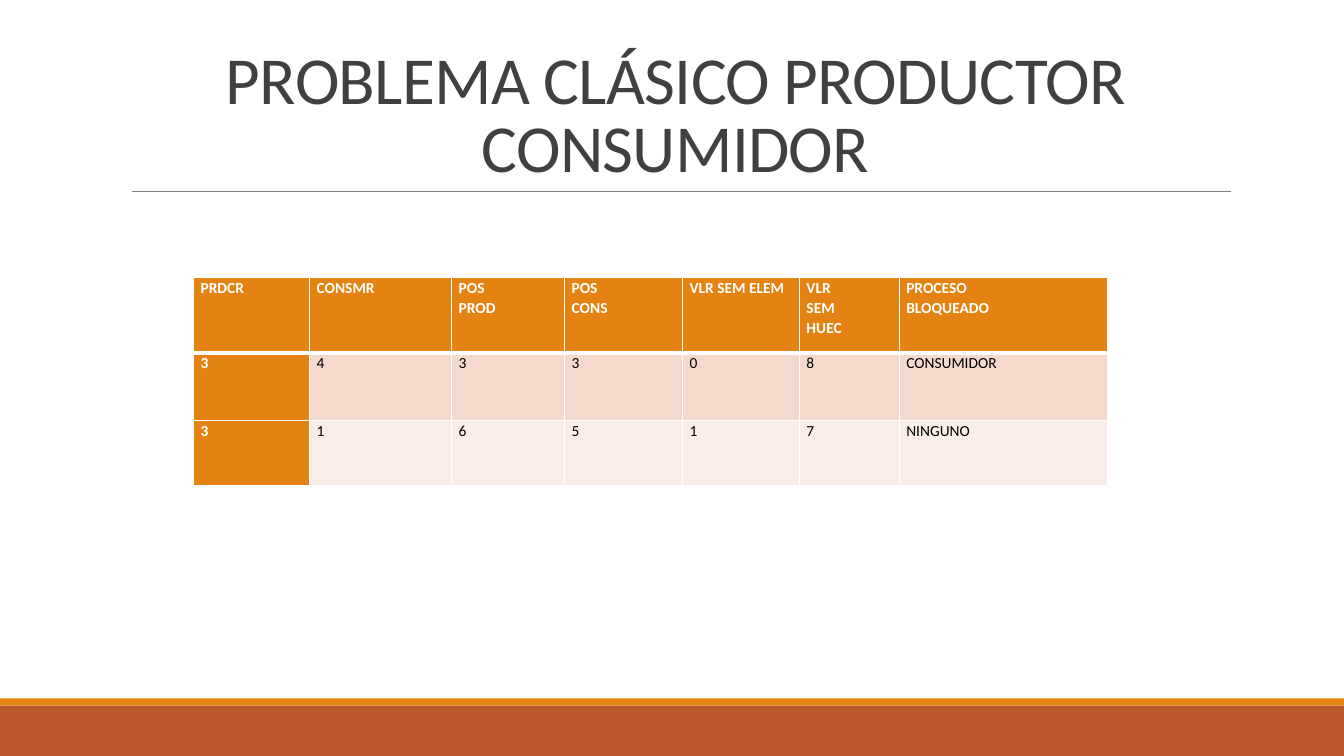
from lxml.etree import SubElement
from pptx import Presentation
from pptx.dml.color import RGBColor
from pptx.enum.shapes import MSO_CONNECTOR, MSO_SHAPE
from pptx.enum.text import MSO_ANCHOR, PP_ALIGN
from pptx.oxml.ns import qn
from pptx.util import Inches, Pt

ORANGE, WHITE = "E48312", "FFFFFF"


def paint(color, value):
    color.rgb = RGBColor.from_string(value)


def edge(cell, side, width):
    """Add a white border to one side (L, R, T or B) of a cell."""
    props = cell._tc.get_or_add_tcPr()
    line = SubElement(props, qn("a:ln" + side), w=str(Pt(width)))
    fill = SubElement(line, qn("a:solidFill"))
    SubElement(fill, qn("a:srgbClr"), val=WHITE)


prs = Presentation()
prs.slide_width, prs.slide_height = Inches(13.33), Inches(7.5)
slide = prs.slides.add_slide(prs.slide_layouts[6])
shapes = slide.shapes

# Footer bands
for top, height, color in [(7, 0.5, "BD582C"), (6.93, 0.07, ORANGE)]:
    band = shapes.add_shape(MSO_SHAPE.RECTANGLE, 0, Inches(top),
                            prs.slide_width, Inches(height))
    band.shadow.inherit = False
    band.fill.solid()
    paint(band.fill.fore_color, color)
    band.line.fill.background()

# Title and the rule under it
rule = shapes.add_connector(MSO_CONNECTOR.STRAIGHT, Inches(1.31), Inches(1.9),
                            Inches(12.21), Inches(1.9))
paint(rule.line.color, "808080")
rule.line.width = Pt(0.5)
SubElement(rule._element.spPr, qn("a:effectLst"))

title = shapes.add_textbox(Inches(1.2), Inches(0.31), Inches(11), Inches(1.59))
frame = title.text_frame
frame.word_wrap = True
frame.vertical_anchor = MSO_ANCHOR.BOTTOM
frame.text = "PROBLEMA CLÁSICO PRODUCTOR CONSUMIDOR"
para = frame.paragraphs[0]
para.alignment = PP_ALIGN.CENTER
para.line_spacing = 0.85
run = para.runs[0]
run.font.name, run.font.size = "Calibri", Pt(48)
paint(run.font.color, "404040")
run.font._element.set("spc", "-50")

# Table of semaphore values
rows = [
    ["PRDCR", "CONSMR", "POS\nPROD", "POS\nCONS", "VLR SEM ELEM",
     "VLR\nSEM\nHUEC", "PROCESO\nBLOQUEADO"],
    ["3", "4", "3", "3", "0", "8", "CONSUMIDOR"],
    ["3", "1", "6", "5", "1", "7", "NINGUNO"],
]
widths = [1.15, 1.41, 1.12, 1.17, 1.16, 0.99, 2.07]
heights = [0.75, 0.67, 0.65]
tints = [ORANGE, "F5D9CC", "FAEDE7"]

table = shapes.add_table(len(rows), len(widths), Inches(1.92), Inches(2.75),
                         Inches(sum(widths)), Inches(sum(heights))).table
for col, width in zip(table.columns, widths):
    col.width = Inches(width)
for row, height in zip(table.rows, heights):
    row.height = Inches(height)

for r, texts in enumerate(rows):
    for c, text in enumerate(texts):
        cell = table.cell(r, c)
        head = r == 0 or c == 0
        cell.margin_left = cell.margin_right = Inches(0.07)
        cell.margin_top = cell.margin_bottom = 0
        for side in "LRTB":
            thick = (r, side) in [(0, "B"), (1, "T")]
            edge(cell, side, 3 if thick else 1)
        cell.fill.solid()
        paint(cell.fill.fore_color, ORANGE if head else tints[r])
        cell.text_frame.text = text
        for para in cell.text_frame.paragraphs:
            para.line_spacing = 1.07
            font = para.runs[0].font
            font.name, font.size, font.bold = "Calibri", Pt(11), head
            paint(font.color, WHITE if head else "000000")

prs.save("out.pptx")
